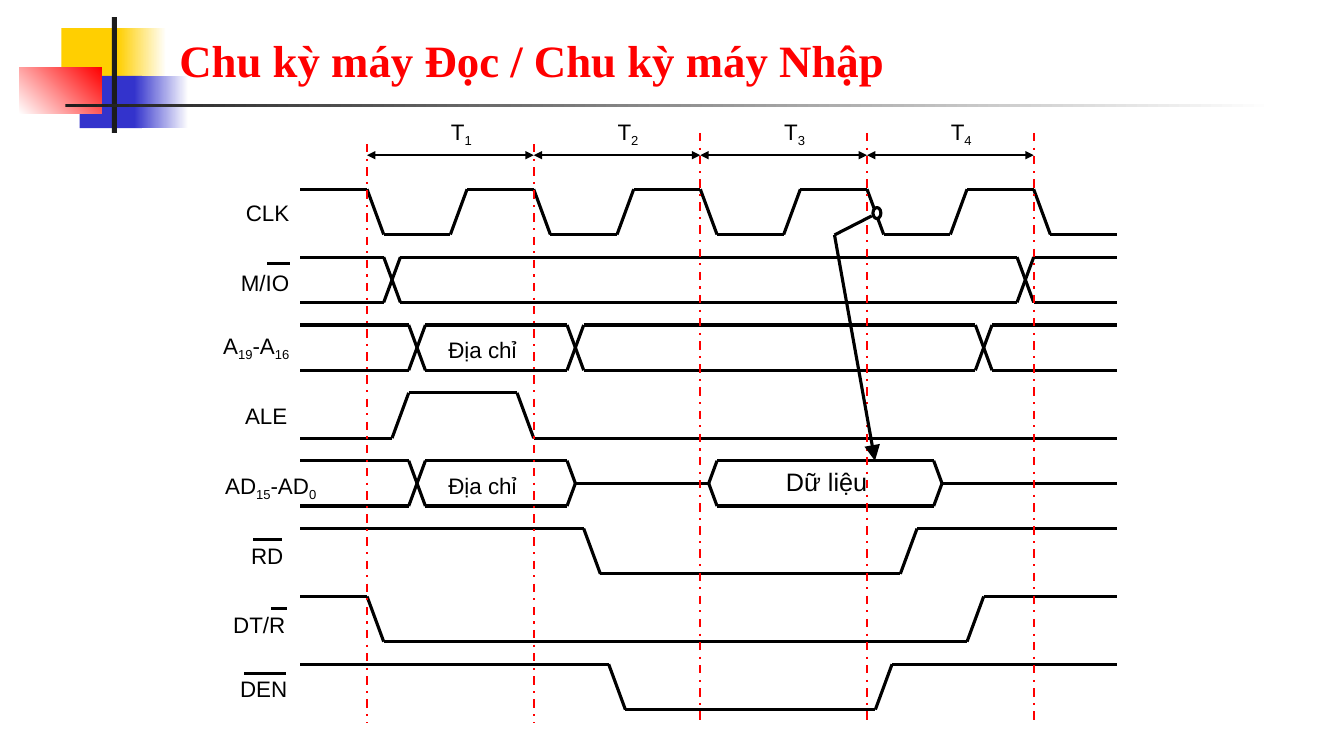
"""Build the slide with the timing diagram of the read machine cycle."""
import dataclasses

import lxml.etree
import pptx
import pptx.dml.color
import pptx.enum.dml
import pptx.enum.shapes
import pptx.enum.text
import pptx.oxml.ns
import pptx.util

Cm = pptx.util.Cm
ALIGN = pptx.enum.text.PP_ALIGN
SHAPE = pptx.enum.shapes.MSO_SHAPE

WAVE_LEFT, UNIT = 7.57, 0.21
ROW_TOP, ROW_PITCH, SWING = 4.77, 1.71, 1.14
FIRST_EDGE, PERIOD, END = 8, 20, 98
LABEL_HEIGHT = 0.71


@dataclasses.dataclass(frozen=True)
class Theme:
    """Colours, fonts, type sizes and line widths of the slide."""
    ink: str = "000000"
    red: str = "FF0000"
    yellow: str = "FFCF01"
    blue: str = "3333CC"
    dark: str = "1C1C1C"
    white: str = "FFFFFF"
    body_font: str = "Arial"
    title_font: str = "Times New Roman"
    title_size: int = 32
    data_size: int = 18
    label_size: int = 16
    wave_width: float = 2.25
    guide_width: float = 1.5


THEME = Theme()


def rgb(code):
    """Turn a hex code into a colour."""
    return pptx.dml.color.RGBColor.from_string(code)


def add_block(slide, left, top, width, height, color, fade_to=None, angle=0):
    """Add a borderless rectangle with a plain or fading fill."""
    block = slide.shapes.add_shape(SHAPE.RECTANGLE, Cm(left), Cm(top), Cm(width), Cm(height))
    block.shadow.inherit = False
    block.line.fill.background()
    if fade_to is None:
        block.fill.solid()
        block.fill.fore_color.rgb = rgb(color)
        return
    block.fill.gradient()
    block.fill.gradient_angle = angle
    for stop, code in zip(block.fill.gradient_stops, (color, fade_to)):
        stop.color.rgb = rgb(code)


def add_line(slide, start, end, color=THEME.ink, width=THEME.wave_width,
             dash=None, arrows=(), arrow_size="med"):
    """Add a straight line between two points, with optional dashes and arrowheads."""
    line = slide.shapes.add_connector(
        pptx.enum.shapes.MSO_CONNECTOR.STRAIGHT, *(Cm(length) for length in (*start, *end)))
    line.line.color.rgb = rgb(color)
    line.line.width = pptx.util.Pt(width)
    if dash is not None:
        line.line.dash_style = dash
    for arrow in arrows:
        lxml.etree.SubElement(line.get_or_add_ln() if hasattr(line, "get_or_add_ln")
                              else line.line._get_or_add_ln(),
                              pptx.oxml.ns.qn(f"a:{arrow}"),
                              type="triangle", w=arrow_size, len=arrow_size)
    lxml.etree.SubElement(line._element.spPr, pptx.oxml.ns.qn("a:effectLst"))


def add_label(slide, text, left, top, width, align, size=THEME.label_size):
    """Add a label in which parts between underscores are subscripts."""
    frame = slide.shapes.add_textbox(Cm(left), Cm(top), Cm(width), Cm(LABEL_HEIGHT)).text_frame
    frame.word_wrap = True
    frame.margin_left = frame.margin_right = frame.margin_top = frame.margin_bottom = 0
    paragraph = frame.paragraphs[0]
    paragraph.alignment = align
    for index, part in enumerate(text.split("_")):
        if not part:
            continue
        run = paragraph.add_run()
        run.text = part
        run.font.name = THEME.body_font
        run.font.size = pptx.util.Pt(size)
        run.font.color.rgb = rgb(THEME.ink)
        if index % 2:
            run._r.get_or_add_rPr().set("baseline", "-25000")


def add_title(slide, text):
    """Add the slide title."""
    frame = slide.shapes.add_textbox(Cm(4.27), Cm(0.58), Cm(28.85), Cm(1.73)).text_frame
    frame.word_wrap = True
    frame.vertical_anchor = pptx.enum.text.MSO_ANCHOR.BOTTOM
    frame.text = text
    font = frame.paragraphs[0].runs[0].font
    font.name = THEME.title_font
    font.size = pptx.util.Pt(THEME.title_size)
    font.bold = True
    font.color.rgb = rgb(THEME.red)


def time_x(time):
    """Give the horizontal place of a moment."""
    return WAVE_LEFT + UNIT * time


def add_wave(slide, row, points):
    """Trace a signal through (time, level) points in its row."""
    places = [(time_x(time), ROW_TOP + ROW_PITCH * row + SWING * (1 - level))
              for time, level in points]
    for start, end in zip(places, places[1:]):
        add_line(slide, start, end)


def add_bus(slide, row, points):
    """Trace a bus as a wave and its mirror."""
    add_wave(slide, row, points)
    add_wave(slide, row, [(time, 1 - level) for time, level in points])


def add_decoration(slide):
    """Add the coloured blocks and rules beside the title."""
    add_block(slide, 1.55, 0.71, 1.63, 1.32, THEME.yellow)
    add_block(slide, 2.97, 0.71, 1.22, 1.32, THEME.yellow, THEME.white)
    add_block(slide, 2.01, 1.91, 1.57, 1.32, THEME.blue)
    add_block(slide, 3.38, 1.91, 1.37, 1.32, THEME.blue, THEME.white)
    add_block(slide, 0.48, 1.7, 2.08, 1.17, THEME.white, THEME.red, 45)
    add_block(slide, 2.82, 0.43, 0.13, 2.92, THEME.dark)
    add_block(slide, 1.65, 2.62, 30.48, 0.08, THEME.dark, THEME.white)


def add_periods(slide):
    """Add the period boundaries, their spans and the names T1 to T4."""
    edges = [time_x(FIRST_EDGE + PERIOD * number) for number in range(5)]
    for edge, top in zip(edges, (3.63, 3.63, 3.35, 3.35, 3.35)):
        add_line(slide, (edge, top), (edge, 18.21), THEME.red, THEME.guide_width,
                 dash=pptx.enum.dml.MSO_LINE.DASH_DOT)
    for number, (start, end) in enumerate(zip(edges, edges[1:]), 1):
        add_line(slide, (start, 3.91), (end, 3.91), width=THEME.guide_width,
                 arrows=("headEnd", "tailEnd"))
        add_label(slide, f"T_{number}_", (start + end) / 2 - 0.12, 2.97, 0.79, ALIGN.CENTER)


def add_signals(slide):
    """Trace the eight signals from top to bottom."""
    clock = [(0, 1)]
    for edge in range(FIRST_EDGE, END - PERIOD, PERIOD):
        clock += [(edge, 1), (edge + 2, 0), (edge + 10, 0), (edge + 12, 1)]
    add_wave(slide, 0, clock + [(88, 1), (90, 0), (END, 0)])
    add_bus(slide, 1, [(0, 1), (10, 1), (12, 0), (86, 0), (88, 1), (END, 1)])
    add_bus(slide, 2, [(0, 1), (13, 1), (15, 0), (32, 0), (34, 1), (81, 1), (83, 0), (END, 0)])
    add_wave(slide, 3, [(0, 0), (11, 0), (13, 1), (26, 1), (28, 0), (END, 0)])
    add_bus(slide, 4, [(0, 1), (13, 1), (15, 0), (32, 0), (33, 0.5)])
    add_wave(slide, 4, [(33, 0.5), (49, 0.5)])
    add_bus(slide, 4, [(49, 0.5), (50, 1), (76, 1), (77, 0.5)])
    add_wave(slide, 4, [(77, 0.5), (END, 0.5)])
    for row, fall, rise in ((5, 34, 72), (6, 8, 80), (7, 37, 69)):
        add_wave(slide, row, [(0, 1), (fall, 1), (fall + 2, 0), (rise, 0), (rise + 2, 1), (END, 1)])


def add_names(slide):
    """Add the signal names, their overlines and the bus contents."""
    for name, left, top, width in (
            ("CLK", 5.84, 5.03, 1.45), ("M/IO", 5.84, 6.78, 1.45),
            ("A_19_-A_16_", 5.23, 8.36, 2.06), ("ALE", 5.79, 10.13, 1.45),
            ("AD_15_-AD_0_", 5.05, 11.89, 2.92), ("RD", 5.69, 13.67, 1.45),
            ("DT/R", 5.74, 15.39, 1.45), ("DEN", 5.79, 17.02, 1.45)):
        add_label(slide, name, left, top, width, ALIGN.RIGHT)
    for start, end, height in ((6.73, 7.32, 6.65), (6.38, 7.11, 13.59),
                               (6.83, 7.24, 15.34), (6.15, 7.21, 16.97)):
        add_line(slide, (start, height), (end, height))
    for top in (8.46, 11.89):
        add_label(slide, "Địa chỉ", 10.85, top, 2.62, ALIGN.CENTER)
    add_label(slide, "Dữ liệu", 19.05, 11.76, 3.56, ALIGN.CENTER, THEME.data_size)


def add_sampling(slide):
    """Mark the clock edge on which the data is read."""
    edge = slide.shapes.add_shape(SHAPE.OVAL, Cm(22), Cm(5.23), Cm(0.2), Cm(0.28))
    edge.shadow.inherit = False
    edge.fill.solid()
    edge.fill.fore_color.rgb = rgb(THEME.white)
    edge.line.color.rgb = rgb(THEME.ink)
    edge.line.width = pptx.util.Pt(THEME.wave_width)
    bend = (21.03, 5.92)
    add_line(slide, (21.97, 5.44), bend)
    add_line(slide, bend, (22.05, 11.61), arrows=("tailEnd",), arrow_size="lg")


def main():
    """Build and save the presentation."""
    deck = pptx.Presentation()
    deck.slide_width, deck.slide_height = Cm(33.87), Cm(19.05)
    slide = deck.slides.add_slide(deck.slide_layouts[6])
    add_decoration(slide)
    add_signals(slide)
    add_periods(slide)
    add_sampling(slide)
    add_names(slide)
    add_title(slide, "Chu kỳ máy Đọc / Chu kỳ máy Nhập")
    deck.save("out.pptx")


if __name__ == "__main__":
    main()
